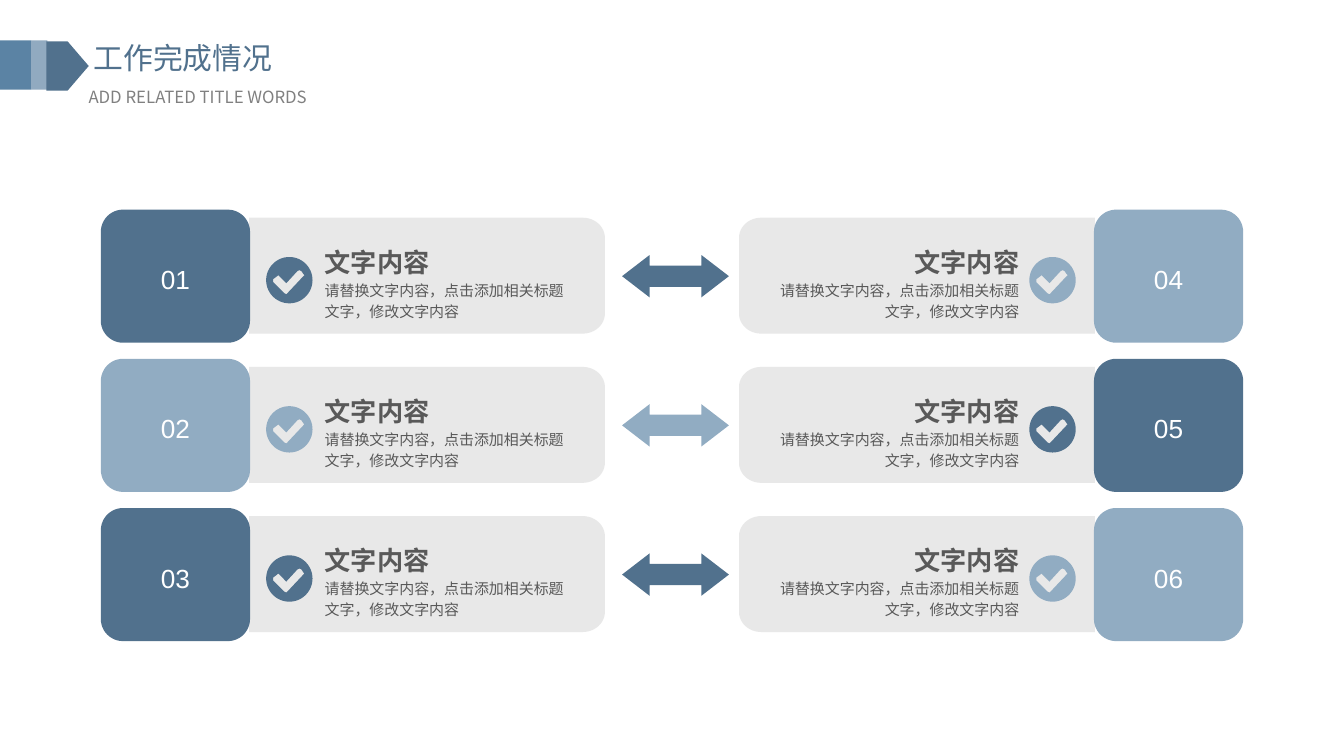
from dataclasses import dataclass
from math import cos, pi, sin

from lxml.etree import SubElement
from pptx import Presentation
from pptx.dml.color import RGBColor
from pptx.enum.shapes import MSO_SHAPE as Shape
from pptx.enum.text import MSO_ANCHOR as Anchor, PP_ALIGN as Align
from pptx.oxml.ns import qn
from pptx.util import Inches, Pt


@dataclass(frozen=True)
class Theme:
    dark: str = "51718D"
    light: str = "91ACC2"
    accent: str = "5B83A4"
    stripe: str = "91AAC0"
    panel: str = "E6E6E6"
    body: str = "595959"
    muted: str = "808080"
    white: str = "FFFFFF"
    latin: str = "Arial"
    asian: str = "Noto Sans CJK SC"
    title_size: float = 21.3
    subtitle_size: float = 12
    heading_size: float = 18.7
    body_size: float = 10.7


def arc(center_x, center_y, radius_x, radius_y, start, end, steps):
    """Points on an ellipse between two angles in degrees."""
    angles = [(start + (end - start) * i / steps) * pi / 180 for i in range(steps + 1)]
    return [(center_x + radius_x * cos(a), center_y + radius_y * sin(a)) for a in angles]


# Tick outline, relative to the top left of its disc
TICK = [(0.37, 0.17), (0.35, 0.14), (0.33, 0.13), (0.31, 0.14), (0.2, 0.26),
        (0.13, 0.19), (0.12, 0.18), (0.11, 0.19), (0.07, 0.22), (0.07, 0.25),
        (0.18, 0.36), (0.2, 0.37), (0.21, 0.36), (0.37, 0.19), (0.38, 0.18)]


class SlideBuilder:
    def __init__(self, slide, theme):
        self.shapes = slide.shapes
        self.theme = theme

    def paint(self, shape, color):
        shape.shadow.inherit = False
        shape.fill.solid()
        shape.fill.fore_color.rgb = RGBColor.from_string(color)
        shape.line.fill.background()
        return shape

    def block(self, kind, left, top, width, height, color):
        shape = self.shapes.add_shape(
            kind, Inches(left), Inches(top), Inches(width), Inches(height))
        return self.paint(shape, color)

    def outline(self, contours, color):
        contours = [[(Inches(x), Inches(y)) for x, y in points] for points in contours]
        builder = self.shapes.build_freeform(*contours[0][0])
        builder.add_line_segments(contours[0][1:], close=True)
        for points in contours[1:]:
            builder.move_to(*points[0])
            builder.add_line_segments(points[1:], close=True)
        return self.paint(builder.convert_to_shape(), color)

    def style(self, para, color, latin, align, size=None):
        para.alignment = align
        para.font.name = latin
        para.font.color.rgb = RGBColor.from_string(color)
        if size:
            para.font.size = Pt(size)
        defaults = para._p.find(".//" + qn("a:defRPr"))
        SubElement(defaults, qn("a:ea")).set("typeface", self.theme.asian)

    def text_box(self, left, top, width, height, margin=None):
        box = self.shapes.add_textbox(
            Inches(left), Inches(top), Inches(width), Inches(height))
        frame = box.text_frame
        frame.word_wrap = True
        if margin is not None:
            self.set_margins(frame, margin)
        return frame.paragraphs[0]

    def set_margins(self, frame, margin):
        frame.margin_left = frame.margin_right = Inches(margin)
        frame.margin_top = frame.margin_bottom = Inches(margin)

    def header(self, text, left, top, width, height, size, color):
        para = self.text_box(left, top, width, height)
        para.text = text
        self.style(para, color, self.theme.asian, Align.JUSTIFY, size)

    def panel(self, outer, inner, top, height):
        """Grey bar with rounded corners at its outer end only."""
        side = 1 if outer > inner else -1
        center_x, radius_x, radius_y = outer - side * 0.22, 0.22, 0.2
        upper = arc(center_x, top + radius_y, side * radius_x, radius_y, -90, 0, 12)
        lower = arc(center_x, top + height - radius_y, side * radius_x, radius_y, 0, 90, 12)
        points = [(inner, top), *upper, *lower, (inner, top + height)]
        shape = self.outline([points], self.theme.panel)
        color = shape.fill._xPr.find(".//" + qn("a:srgbClr"))
        SubElement(color, qn("a:alpha")).set("val", "90000")

    def check(self, left, top, color):
        radius = 0.23
        disc = arc(left + radius, top + radius, radius, radius, 0, 360, 60)[:-1]
        self.outline([disc, [(left + x, top + y) for x, y in TICK]], color)

    def caption(self, left, top, heading, body, align):
        para = self.text_box(left, top, 2.45, 1, margin=0)
        para.line_spacing = 1.2
        self.style(para, self.theme.body, self.theme.latin, align)
        span = para.add_run()
        span.text = heading
        span.font.size, span.font.bold = Pt(self.theme.heading_size), True
        para.add_line_break()
        span = para.add_run()
        span.text = body
        span.font.size = Pt(self.theme.body_size)

    def number(self, left, top, value, color):
        tile = self.block(Shape.ROUNDED_RECTANGLE, left, top, 1.48, 1.32, color)
        frame = tile.text_frame
        self.set_margins(frame, 0)
        frame.vertical_anchor = Anchor.MIDDLE
        para = frame.paragraphs[0]
        para.text = f"{value:02d}"
        para.line_spacing = 1.2
        self.style(para, self.theme.white, self.theme.latin, Align.CENTER,
                   self.theme.heading_size)


def main():
    deck = Presentation()
    deck.slide_width, deck.slide_height = Inches(13.33), Inches(7.5)
    theme = Theme()
    page = SlideBuilder(deck.slides.add_slide(deck.slide_layouts[6]), theme)

    # Header
    page.header("工作完成情况", 0.83, 0.34, 2.68, 0.46, theme.title_size, theme.dark)
    page.header("ADD RELATED TITLE WORDS", 0.78, 0.81, 2.97, 0.3,
                theme.subtitle_size, theme.muted)
    page.block(Shape.RECTANGLE, 0, 0.4, 0.31, 0.49, theme.accent)
    page.block(Shape.RECTANGLE, 0.31, 0.4, 0.16, 0.49, theme.stripe)
    page.block(Shape.PENTAGON, 0.46, 0.41, 0.42, 0.49, theme.dark)

    # Each side: panel ends, check, caption, alignment, tile
    sides = [(6, 2.47, 2.64, 3.22, Align.LEFT, 1),
             (7.33, 10.86, 10.21, 7.66, Align.RIGHT, 10.85)]
    tones = [theme.dark, theme.light]
    heading, body = "文字内容", "请替换文字内容，点击添加相关标题文字，修改文字内容"

    for row in range(3):
        top = 2.08 + 1.48 * row

        # Arrow between the two sides
        arrow = page.block(Shape.LEFT_RIGHT_ARROW, 6.17, top + 0.45, 1.06, 0.42,
                           tones[row % 2])
        arrow.adjustments[0], arrow.adjustments[1] = 0.5, 0.65

        # Numbered items left and right, in alternating tones
        for column, (outer, inner, check, caption, align, tile) in enumerate(sides):
            tone = tones[(row + column) % 2]
            page.panel(outer, inner, top + 0.08, 1.15)
            page.check(check, top + 0.47, tone)
            page.caption(caption, top + 0.3, heading, body, align)
            page.number(tile, top, row + 1 + 3 * column, tone)

    deck.save("out.pptx")


if __name__ == "__main__":
    main()
